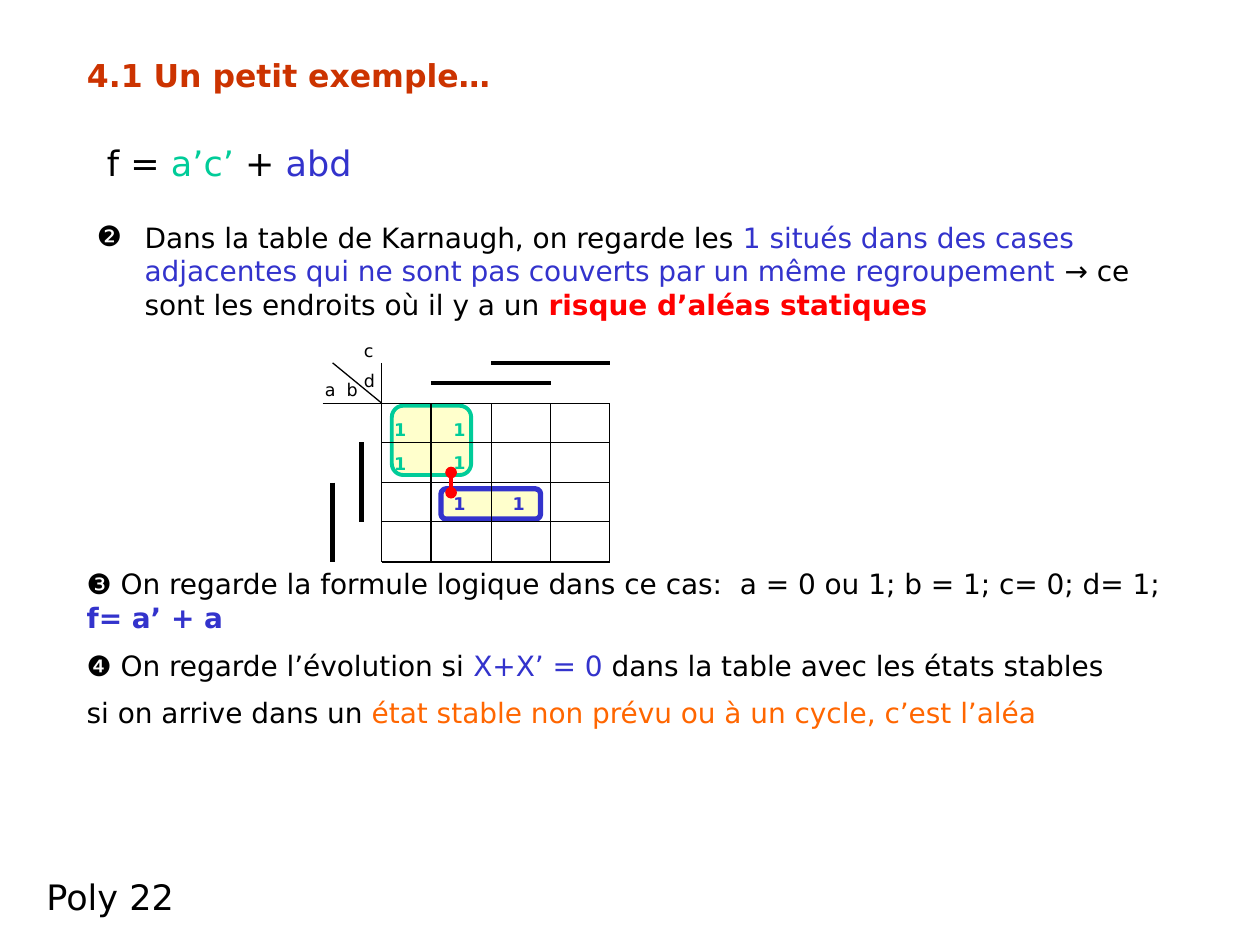
from lxml import etree
from pptx import Presentation
from pptx.dml.color import RGBColor
from pptx.enum.shapes import MSO_CONNECTOR, MSO_SHAPE
from pptx.enum.text import MSO_ANCHOR, PP_ALIGN
from pptx.oxml.ns import qn
from pptx.util import Inches, Pt

STRAIGHT = MSO_CONNECTOR.STRAIGHT
ROUNDED = MSO_SHAPE.ROUNDED_RECTANGLE
MIDDLE, TOP = MSO_ANCHOR.MIDDLE, MSO_ANCHOR.TOP
LEFT = PP_ALIGN.LEFT

BLACK, BLUE, GREEN, RED = "000000", "3333CC", "00CC99", "FF0000"
ORANGE, RUST, CREAM = "FF6600", "CC3300", "FFFFCC"

COLUMNS = (3.03, 3.42, 3.9, 4.37, 4.84)
ROWS = (3.2, 3.51, 3.83, 4.14, 4.46)


def color(value):
    """Return the colour of a hex string."""
    return RGBColor.from_string(value)


class SlideBuilder:
    """Hold the style and the current slide."""

    font_name = "DejaVu Sans"

    def __init__(self, presentation):
        """Add a title-only slide."""
        self.slide = presentation.slides.add_slide(presentation.slide_layouts[5])

    def fill_text(self, shape, paragraphs, size, anchor=TOP, bullet=None):
        """Fill a shape with paragraphs of (text, colour, bold) runs."""
        frame = shape.text_frame
        frame.word_wrap = True
        frame.vertical_anchor = anchor
        for index, runs in enumerate(paragraphs):
            paragraph = frame.add_paragraph() if index else frame.paragraphs[0]
            paragraph.alignment = LEFT
            paragraph.space_before = Pt(size / 2 if index else 0)
            if bullet:
                self.add_bullet(paragraph, bullet)
            for text, hex_color, *bold in runs:
                run = paragraph.add_run()
                run.text = text
                values = {"name": self.font_name, "size": Pt(size), "bold": bool(bold)}
                for name, value in values.items():
                    setattr(run.font, name, value)
                run.font.color.rgb = color(hex_color)

    def add_bullet(self, paragraph, bullet):
        """Give a paragraph a hanging bullet."""
        properties = paragraph._p.get_or_add_pPr()
        properties.set("marL", str(Inches(0.38)))
        properties.set("indent", str(-Inches(0.38)))
        etree.SubElement(properties, qn("a:buFont")).set("typeface", self.font_name)
        etree.SubElement(properties, qn("a:buChar")).set("char", bullet)

    def title(self, box, text, size):
        """Place and format the title."""
        shape = self.slide.shapes.title
        for name, value in zip(("left", "top", "width", "height"), box):
            setattr(shape, name, Inches(value))
        self.fill_text(shape, [[(text, RUST, True)]], size, MIDDLE)

    def text(self, box, paragraphs, size, bullet=None):
        """Add a text box."""
        shape = self.slide.shapes.add_textbox(*map(Inches, box))
        self.fill_text(shape, paragraphs, size, bullet=bullet)
        return shape

    def group(self, box, line_color, width):
        """Add a rounded outline around grouped cells."""
        shape = self.slide.shapes.add_shape(ROUNDED, *map(Inches, box))
        shape.shadow.inherit = False
        shape.fill.solid()
        shape.fill.fore_color.rgb = color(CREAM)
        shape.line.color.rgb = color(line_color)
        shape.line.width = Pt(width)

    def line(self, start, end, width=0.75, line_color=BLACK, oval_ends=False):
        """Add a straight line."""
        connector = self.slide.shapes.add_connector(
            STRAIGHT, *map(Inches, (*start, *end))
        )
        connector.line.color.rgb = color(line_color)
        connector.line.width = Pt(width)
        properties = connector._element.spPr
        etree.SubElement(properties, qn("a:effectLst"))
        if oval_ends:
            outline = properties.find(qn("a:ln"))
            for tag in ("a:headEnd", "a:tailEnd"):
                etree.SubElement(outline, qn(tag)).set("type", "oval")


def add_karnaugh_map(builder):
    """Draw the Karnaugh map with its groups and hazard."""
    left, right = COLUMNS[0], COLUMNS[-1]
    top, bottom = ROWS[0], ROWS[-1]
    builder.group((3.5, 3.88, 0.79, 0.24), BLUE, 3)
    builder.group((3.11, 3.22, 0.63, 0.55), GREEN, 2.25)
    for x in COLUMNS:
        builder.line((x, 2.88 if x == left else top), (x, bottom))
    for y in ROWS:
        builder.line((2.56 if y == top else left, y), (right, y))
    builder.line((left, top), (2.64, 2.88))

    builder.line((COLUMNS[2], 2.88), (right, 2.88), 2.25)
    builder.line((COLUMNS[1], 3.04), (COLUMNS[3], 3.04), 2.25)
    builder.line((2.64, ROWS[2]), (2.64, bottom), 3)
    builder.line((2.87, ROWS[1]), (2.87, ROWS[3]), 3)

    builder.text((2.48, 2.96, 0.47, 0.27), [[("a  b", BLACK)]], 10)
    builder.text((2.79, 2.65, 0.39, 0.52), [[("c", BLACK)], [("d", BLACK)]], 10)
    ones = (
        (3.03, 3.28, GREEN), (3.5, 3.28, GREEN),
        (3.03, 3.55, GREEN), (3.5, 3.54, GREEN),
        (3.5, 3.86, BLUE), (3.97, 3.86, BLUE),
    )
    for x, y, hex_color in ones:
        builder.text((x, y, 0.32, 0.27), [[("1", hex_color, True)]], 10)
    builder.line((3.58, 3.75), (3.58, 3.91), 2.25, RED, oval_ends=True)


def main():
    """Build and save the slide."""
    presentation = Presentation()
    presentation.slide_width = Inches(10)
    presentation.slide_height = Inches(7.5)
    builder = SlideBuilder(presentation)

    builder.title((0.59, -0.03, 8.5, 1.25), "4.1 Un petit exemple…", 18)
    formula = [("f = ", BLACK), ("a’c’", GREEN), (" + ", BLACK), ("abd", BLUE)]
    builder.text((0.75, 1.07, 4.41, 0.43), [formula], 20)
    hazard_rule = [
        ("Dans la table de Karnaugh, on regarde les ", BLACK),
        ("1 situés dans des cases adjacentes qui ne sont pas couverts "
         "par un même regroupement ", BLUE),
        ("→ ce sont les endroits où il y a un ", BLACK),
        ("risque d’aléas statiques", RED, True),
    ]
    builder.text((0.67, 1.7, 8.74, 0.55), [hazard_rule], 16, bullet="❷")
    add_karnaugh_map(builder)

    next_steps = [
        [("❸ On regarde la formule logique dans ce cas:  "
          "a = 0 ou 1; b = 1; c= 0; d= 1; ", BLACK),
         ("f= a’ + a", BLUE, True)],
        [("❹ On regarde l’évolution si ", BLACK), ("X+X’ = 0", BLUE),
         (" dans la table avec les états stables", BLACK)],
        [("si on arrive dans un ", BLACK),
         ("état stable non prévu ou à un cycle, c’est l’aléa", ORANGE)],
    ]
    steps = builder.text((0.59, 4.45, 9.14, 1.85), next_steps, 16)
    steps.text_frame.margin_right = Inches(0.42)
    builder.text((0.27, 6.9, 1.42, 0.44), [[("Poly 22", BLACK)]], 20)
    presentation.save("out.pptx")


if __name__ == "__main__":
    main()
